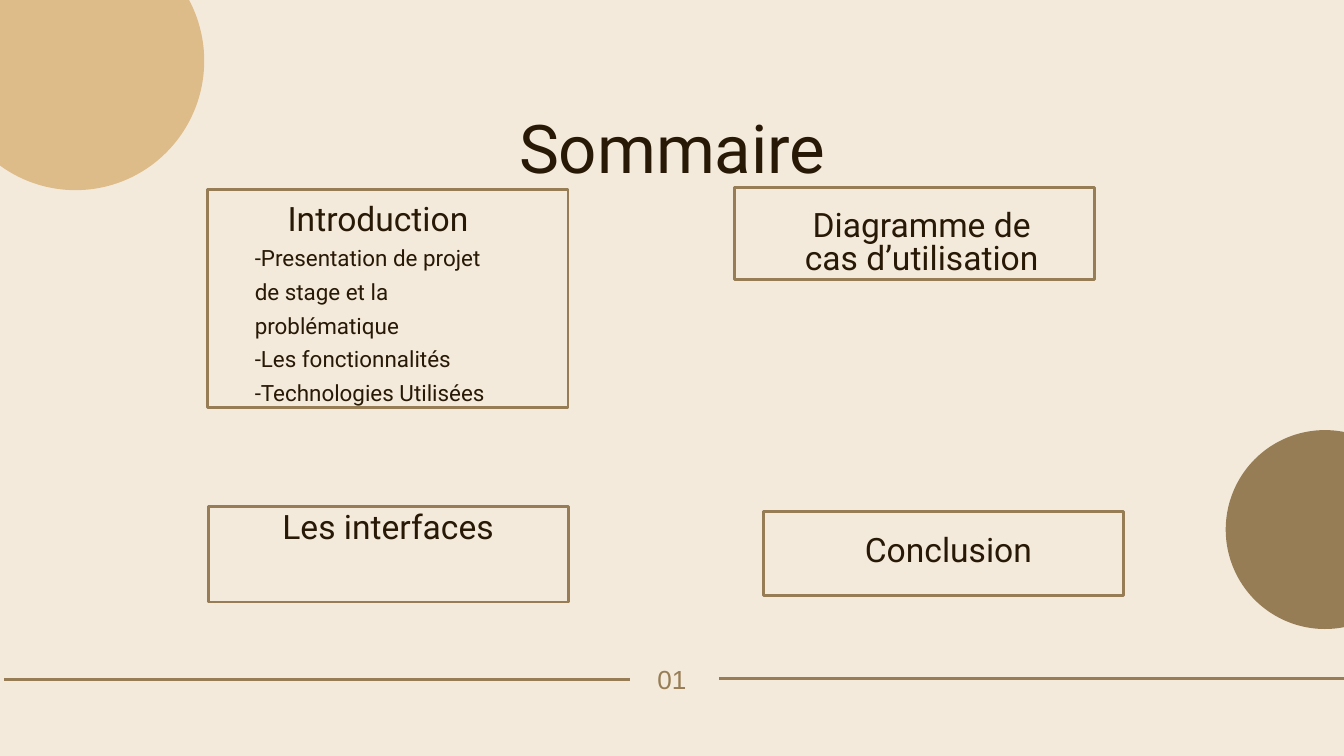
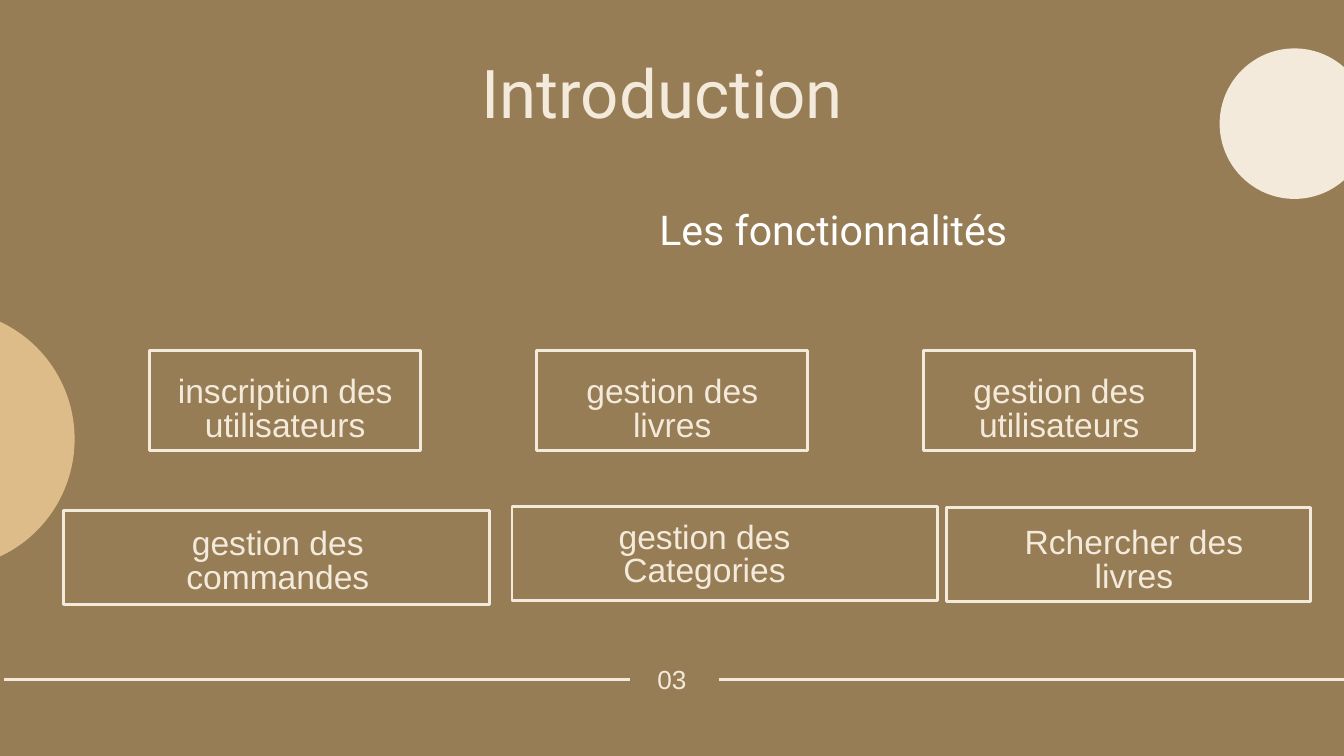
from dataclasses import dataclass

from lxml import etree
from pptx import Presentation
from pptx import util as u
from pptx.dml.color import RGBColor
from pptx.enum import shapes, text
from pptx.oxml.ns import qn
from pptx.shapes.base import BaseShape
from pptx.slide import Slide

HUES = {
    "cream": "F4EADB",
    "brown": "967D55",
    "sand": "DDBC8A",
    "dark": "271905",
    "white": "FFFFFF",
}
WIDE, HIGH = 50.8, 28.58
TEXT_W = 9.32
TITLE_W = 26.85
LINE_W = u.Pt(3)


@dataclass(frozen=True)
class Area:
    """A place on the slide, in centimetres."""
    left: float
    top: float
    width: float
    height: float

    def sides(self) -> list[u.Cm]:
        return [u.Cm(n) for n in (self.left, self.top, self.width, self.height)]


@dataclass(frozen=True)
class Style:
    font: str
    size: float
    hue: str
    pitch: float
    align: text.PP_ALIGN = text.PP_ALIGN.CENTER


@dataclass(frozen=True)
class Card:
    """A framed label; the style is that of its first line."""
    frame: Area
    label: Area
    words: str
    points: tuple[str, ...] = ()


@dataclass(frozen=True)
class Disc:
    area: Area
    hue: str


@dataclass(frozen=True)
class Foot:
    number: str
    hue: str
    width: float
    right_y: float


HEAD = Style("Roboto", 36, "dark", 36)
POINT = Style("Roboto", 24, "dark", 36, text.PP_ALIGN.LEFT)
TASK = Style("Arial", 36, "cream", 36)


def tint(name: str) -> RGBColor:
    return RGBColor.from_string(HUES[name])


def apply(target: object, values: dict[str, object]) -> None:
    for key, value in values.items():
        setattr(target, key, value)


def write(slide: Slide, area: Area, lines: list[tuple[str, Style]]) -> None:
    frame = slide.shapes.add_textbox(*area.sides()).text_frame
    apply(frame, {"word_wrap": True, "margin_left": 0, "margin_top": 0,
                  "margin_right": 0, "margin_bottom": 0})
    for i, (words, style) in enumerate(lines):
        para = frame.add_paragraph() if i else frame.paragraphs[0]
        apply(para, {"alignment": style.align, "line_spacing": u.Pt(style.pitch)})
        run = para.add_run()
        run.text = words
        apply(run.font, {"name": style.font, "size": u.Pt(style.size)})
        run.font.color.rgb = tint(style.hue)


def stroke(shape: BaseShape, hue: str) -> None:
    shape.line.color.rgb = tint(hue)
    shape.line.width = LINE_W


def draw_disc(slide: Slide, disc: Disc) -> None:
    shape = slide.shapes.add_shape(shapes.MSO_SHAPE.OVAL, *disc.area.sides())
    shape.shadow.inherit = False
    shape.fill.solid()
    shape.fill.fore_color.rgb = tint(disc.hue)
    shape.line.fill.background()


def draw_card(slide: Slide, card: Card, hue: str, style: Style) -> None:
    shape = slide.shapes.add_shape(shapes.MSO_SHAPE.RECTANGLE, *card.frame.sides())
    shape.shadow.inherit = False
    shape.fill.background()
    stroke(shape, hue)
    lines = [(card.words, style)] + [(point, POINT) for point in card.points]
    write(slide, card.label, lines)


def draw_rule(slide: Slide, start: float, end: float, y: float, hue: str) -> None:
    rule = slide.shapes.add_connector(
        shapes.MSO_CONNECTOR.STRAIGHT, u.Cm(start), u.Cm(y), u.Cm(end), u.Cm(y))
    stroke(rule, hue)
    etree.SubElement(rule._element.spPr, qn("a:effectLst"))


def draw_foot(slide: Slide, foot: Foot) -> None:
    draw_rule(slide, 0.15, 23.8, 25.7, foot.hue)
    draw_rule(slide, 27.18, WIDE, foot.right_y, foot.hue)
    area = Area((WIDE - foot.width) / 2, 25.27, foot.width, 1.04)
    write(slide, area, [(foot.number, Style("Arial", 28, foot.hue, 28))])


def add_page(deck: Presentation, back: str, discs: list[Disc], foot: Foot) -> Slide:
    slide = deck.slides.add_slide(deck.slide_layouts[6])
    slide.background.fill.solid()
    slide.background.fill.fore_color.rgb = tint(back)
    for disc in discs:
        draw_disc(slide, disc)
    draw_foot(slide, foot)
    return slide


def add_title(slide: Slide, words: str, left: float, top: float, hue: str) -> None:
    style = Style("Roboto", 72, hue, 86.4)
    write(slide, Area(left, top, TITLE_W, 3.1), [(words, style)])


def add_agenda(deck: Presentation) -> None:
    discs = [Disc(Area(46.33, 16.26, 7.5, 7.52), "brown"),
             Disc(Area(-2.01, -2.59, 9.73, 9.78), "sand")]
    slide = add_page(deck, "cream", discs, Foot("01", "brown", 4.7, 25.65))
    width = 13.62
    cards = [
        Card(Area(7.85, 7.16, width, 8.24), Area(9.63, 7.72, TEXT_W, 7.7),
             "Introduction",
             ("-Presentation de projet de stage et la problématique",
              "-Les fonctionnalités", "-Technologies Utilisées")),
        Card(Area(27.76, 7.09, width, 3.48), Area(30.18, 7.95, TEXT_W, 2.62),
             "Diagramme de cas d’utilisation"),
        Card(Area(7.87, 19.15, width, 3.61), Area(10.01, 19.38, TEXT_W, 1.32),
             "Les interfaces"),
        Card(Area(28.85, 19.35, width, 3.15), Area(31.19, 20.24, TEXT_W, 1.42),
             "Conclusion"),
    ]
    for card in cards:
        draw_card(slide, card, "brown", HEAD)
    add_title(slide, "Sommaire", 11.99, 4.01, "dark")


def add_tasks(deck: Presentation) -> None:
    discs = [Disc(Area(46.1, 1.83, 5.66, 5.69), "cream"),
             Disc(Area(-6.91, 11.71, 9.73, 9.78), "sand")]
    slide = add_page(deck, "brown", discs, Foot("03", "cream", 18.39, 25.7))
    add_title(slide, "Introduction", 11.61, 1.93, "cream")
    write(slide, Area(18.08, 6.53, TITLE_W, 6.12),
          [("Les fonctionnalités", Style("Roboto", 44, "white", 86.4))])

    step, tall = 14.63, 2.57
    top_row = ["inscription des utilisateurs", "gestion des livres",
               "gestion des utilisateurs"]
    cards = [Card(Area(5.64 + i * step, 13.26, 10.26, 3.77),
                  Area(6.12 + i * step, 14.25, TEXT_W, tall), words)
             for i, words in enumerate(top_row)]
    cards += [
        Card(Area(2.41, 19.3, 16.08, 3.55), Area(5.84, 19.99, TEXT_W, tall),
             "gestion des commandes"),
        Card(Area(19.35, 19.15, 16.08, 3.55), Area(21.97, 19.74, TEXT_W, tall),
             "gestion des Categories"),
        Card(Area(35.79, 19.18, 13.74, 3.55), Area(38.2, 19.96, TEXT_W, tall),
             "Rchercher des livres"),
    ]
    for card in cards:
        draw_card(slide, card, "cream", TASK)


def main() -> None:
    deck = Presentation()
    apply(deck, {"slide_width": u.Cm(WIDE), "slide_height": u.Cm(HIGH)})
    add_agenda(deck)
    add_tasks(deck)
    deck.save("out.pptx")


if __name__ == "__main__":
    main()
